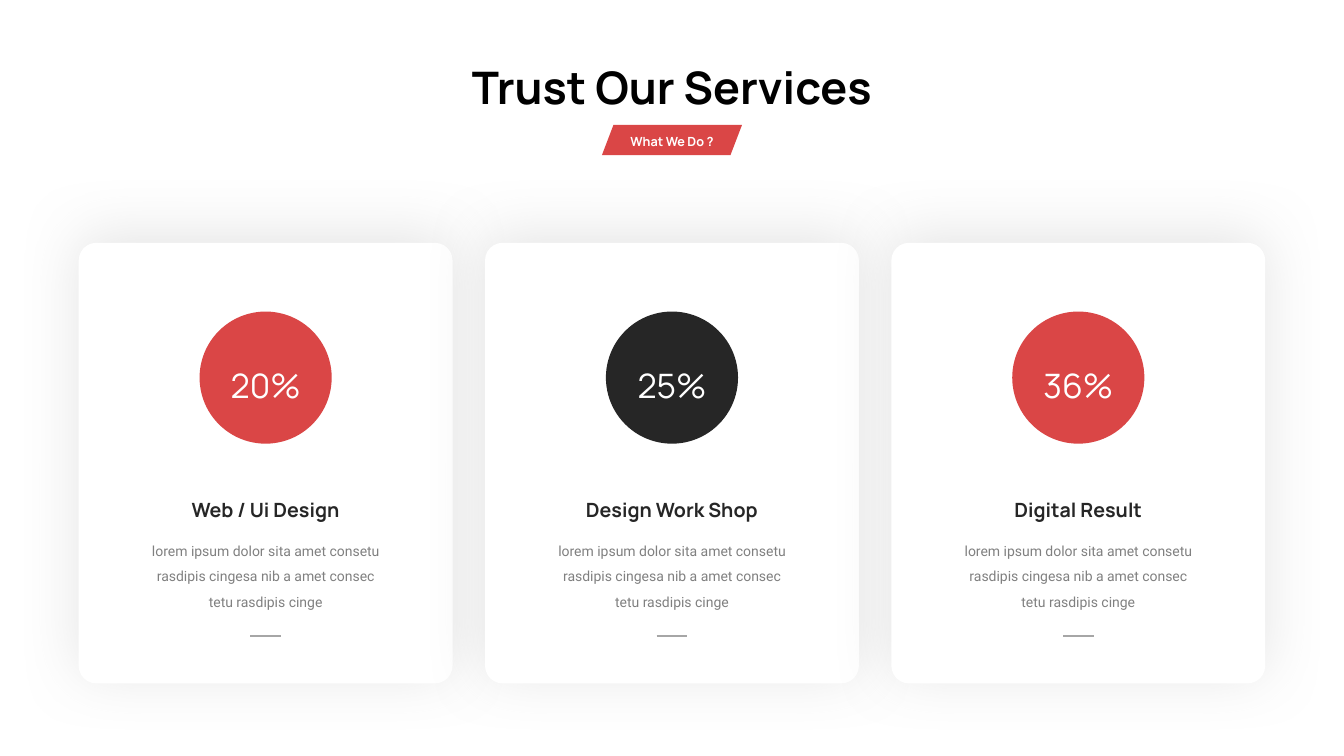
import pptx
import pptx.util
import pptx.dml.color
import pptx.enum.dml
import pptx.enum.shapes
import pptx.enum.text
import pptx.oxml
import pptx.oxml.ns
import lxml.etree

Cm = pptx.util.Cm
Pt = pptx.util.Pt
RGB = pptx.dml.color.RGBColor
SHAPE = pptx.enum.shapes.MSO_SHAPE
ANCHOR = pptx.enum.text.MSO_ANCHOR

RED = RGB(0xDA, 0x46, 0x46)
DARK = RGB(0x26, 0x26, 0x26)
GREY = RGB(0x80, 0x80, 0x80)
RULE = RGB(0xA6, 0xA6, 0xA6)
SHADOW = RGB(0xBF, 0xBF, 0xBF)
WHITE = RGB(0xFF, 0xFF, 0xFF)
BLACK = RGB(0, 0, 0)

# Content
TITLE = "Trust Our Services"
BADGE = "What We Do ?"
BODY = ("lorem ipsum dolor sita amet consetu rasdipis cingesa nib "
        "a amet consec tetu rasdipis cinge")
# percentage, circle colour, heading, heading width
SERVICES = [
    ("20%", RED, "Web / Ui Design", 5.2),
    ("25%", DARK, "Design Work Shop", 5.89),
    ("36%", RED, "Digital Result", 5.2),
]

# Layout in cm; every part is centred on a column
SLIDE_W, SLIDE_H = 33.87, 19.05
MIDDLE = SLIDE_W / 2
PITCH = 10.24

prs = pptx.Presentation()
prs.slide_width, prs.slide_height = Cm(SLIDE_W), Cm(SLIDE_H)
s = prs.slides.add_slide(prs.slide_layouts[5])


def box(cx, top, width, height):
    return Cm(cx - width / 2), Cm(top), Cm(width), Cm(height)


def add_solid(kind, place, color, adj=None):
    sp = s.shapes.add_shape(kind, *place)
    sp.shadow.inherit = False
    sp.fill.solid()
    sp.fill.fore_color.rgb = color
    sp.line.fill.background()
    if adj is not None:
        sp.adjustments[0] = adj
    return sp


def add_glow(sp, color, blur, dist, opacity):
    effects = sp._element.spPr.find(pptx.oxml.ns.qn("a:effectLst"))
    effects.append(pptx.oxml.parse_xml(
        f'<a:outerShdw {pptx.oxml.ns.nsdecls("a")} blurRad="{Pt(blur)}" '
        f'dist="{Pt(dist)}" dir="16200000" algn="b" rotWithShape="0">'
        f'<a:srgbClr val="{color}"><a:alpha val="{opacity * 1000}"/>'
        f'</a:srgbClr></a:outerShdw>'))


def write(sp, text, size, color, font="Manrope", bold=False,
          spacing=None, anchor=ANCHOR.MIDDLE, wrap=True):
    tf = sp.text_frame
    tf.auto_size = pptx.enum.text.MSO_AUTO_SIZE.NONE
    tf.word_wrap = wrap
    tf.vertical_anchor = anchor
    p = tf.paragraphs[0]
    p.alignment = pptx.enum.text.PP_ALIGN.CENTER
    if spacing:
        p.line_spacing = spacing
    r = p.add_run()
    r.text = text
    r.font.name, r.font.size, r.font.bold = font, Pt(size), bold
    r.font.color.rgb = color


def add_text(place, *args, **style):
    write(s.shapes.add_textbox(*place), *args, **style)


def add_rule(cx, y, width):
    line = s.shapes.add_connector(
        pptx.enum.shapes.MSO_CONNECTOR.STRAIGHT,
        Cm(cx - width / 2), Cm(y), Cm(cx + width / 2), Cm(y))
    line.line.color.rgb = RULE
    line.line.width = Pt(1.5)
    lxml.etree.SubElement(line._element.spPr, pptx.oxml.ns.qn("a:effectLst"))


columns = [MIDDLE + (i - 1) * PITCH for i in range(len(SERVICES))]

# Cards, all behind the rest so that shadows never cover content
for cx in columns:
    card = add_solid(SHAPE.ROUNDED_RECTANGLE, box(cx, 6.12, 9.42, 11.1),
                     WHITE, 0.047)
    add_glow(card, SHADOW, blur=43, dist=6, opacity=40)

# Services
for cx, (percent, color, heading, width) in zip(columns, SERVICES):
    add_text(box(cx, 12.42, width, 0.86), heading, 14, DARK, bold=True)
    add_text(box(cx, 13.34, 6.55, 2.18), BODY, 10, GREY, font="Roboto",
             spacing=1.5, anchor=ANCHOR.TOP)
    add_rule(cx, 16.03, 0.77)
    circle = add_solid(SHAPE.OVAL, box(cx, 7.85, 3.33, 3.33), color)
    circle.rotation = 345
    add_text(box(cx, 9.07, 3.58, 1.27), percent, 24, WHITE)

# Title
title = s.shapes.title
title.left, title.top, title.width, title.height = box(MIDDLE, 1.37, 14.73, 1.63)
write(title, TITLE, 32, BLACK, bold=True)

# Badge
add_solid(SHAPE.PARALLELOGRAM, box(MIDDLE, 3.15, 3.53, 0.76), RED, 0.382)
add_text(box(MIDDLE, 3.25, 2.92, 0.64), BADGE, 9, WHITE, bold=True, wrap=False)

prs.save("out.pptx")
